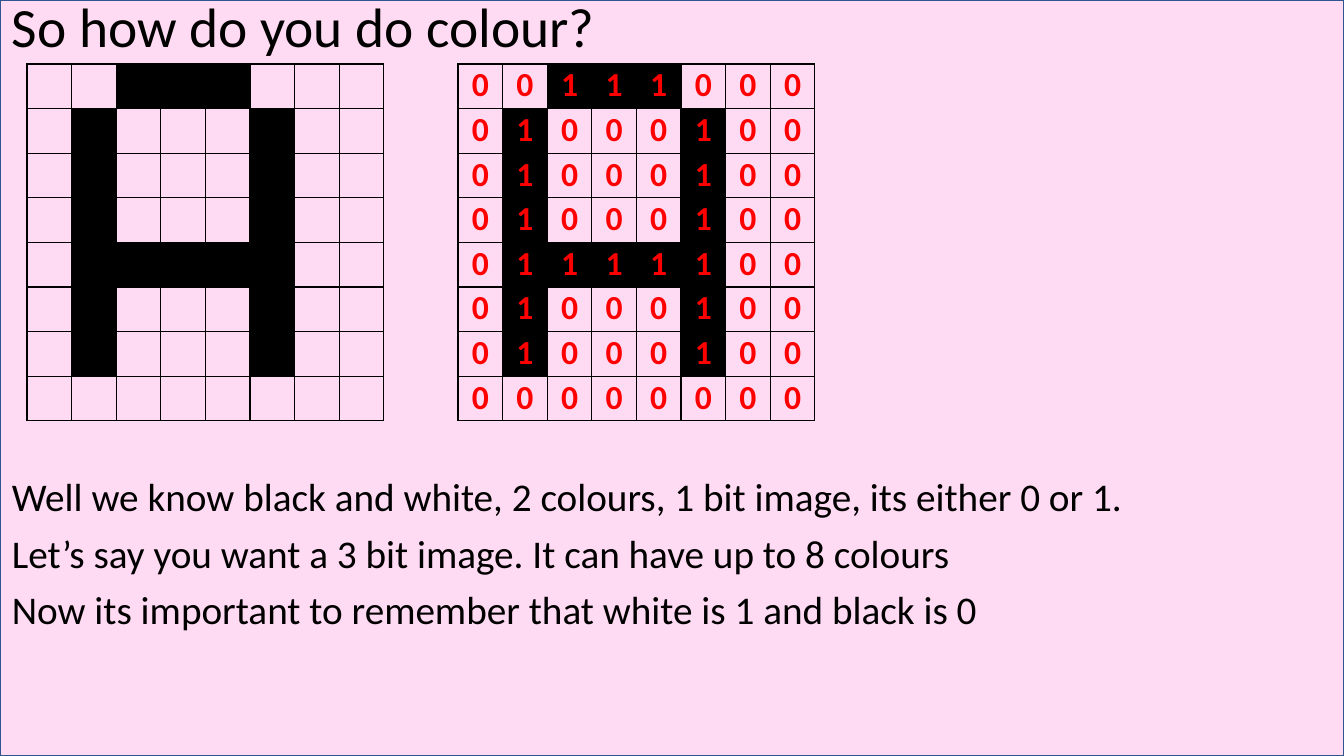
from lxml import etree
from pptx import Presentation
from pptx.dml.color import RGBColor
from pptx.enum.shapes import MSO_SHAPE
from pptx.enum.text import MSO_ANCHOR, PP_ALIGN
from pptx.oxml.ns import qn
from pptx.util import Emu, Pt

RECT = MSO_SHAPE.RECTANGLE
TOP, MIDDLE = MSO_ANCHOR.TOP, MSO_ANCHOR.MIDDLE
LEFT, CENTER = PP_ALIGN.LEFT, PP_ALIGN.CENTER

BLACK = RGBColor(0x00, 0x00, 0x00)
RED = RGBColor(0xFF, 0x00, 0x00)
PINK = RGBColor(0xFF, 0x8A, 0xD8)
NAVY = RGBColor(0x32, 0x54, 0x91)

FONT = "Calibri"
WIDTH, HEIGHT = 1344, 756
SIDE = 357

LETTER = (
    "00111000",
    "01000100",
    "01000100",
    "01000100",
    "01111100",
    "01000100",
    "01000100",
    "00000000",
)
NOTES = (
    "Well we know black and white, 2 colours, 1 bit image, its either 0 or 1.",
    "Let’s say you want a 3 bit image. It can have up to 8 colours",
    "Now its important to remember that white is 1 and black is 0",
)


def px(n):
    return Emu(round(n * 914400 / 100.8))


def write(para, text, size=28, color=BLACK, bold=False, align=LEFT, line=1.0, before=0):
    para.alignment = align
    para.line_spacing = line
    para.space_before = Pt(before)
    run = para.add_run()
    run.text = text
    font = run.font
    font.name, font.size, font.bold = FONT, Pt(size), bold
    font.color.rgb = color


def outline(cell, color=BLACK, width=1):
    """Rule all four sides of a table cell."""
    props = cell._tc.get_or_add_tcPr()
    for tag in ("a:lnL", "a:lnR", "a:lnT", "a:lnB"):
        edge = etree.SubElement(props, qn(tag), w=str(Pt(width)))
        fill = etree.SubElement(edge, qn("a:solidFill"))
        etree.SubElement(fill, qn("a:srgbClr"), val=str(color))


class Page:
    def __init__(self, deck):
        self.shapes = deck.slides.add_slide(deck.slide_layouts[6]).shapes

    def panel(self, x, y, w, h, fill, line, alpha):
        """Add a see-through rectangle; alpha is its opacity in percent."""
        box = self.shapes.add_shape(RECT, px(x), px(y), px(w), px(h))
        box.shadow.inherit = False
        box.fill.solid()
        box.fill.fore_color.rgb = fill
        tint = box.fill._xPr.find(".//" + qn("a:srgbClr"))
        etree.SubElement(tint, qn("a:alpha"), val=str(alpha * 1000))
        box.line.color.rgb = line
        box.line.width = Pt(1)

    def text(self, x, y, w, h, lines, anchor=TOP, gap=0, **style):
        frame = self.shapes.add_textbox(px(x), px(y), px(w), px(h)).text_frame
        frame.word_wrap = True
        frame.vertical_anchor = anchor
        for i, line in enumerate(lines):
            para = frame.add_paragraph() if i else frame.paragraphs[0]
            write(para, line, before=gap if i else 0, **style)

    def bitmap(self, x, y, side, rows, digits):
        """Add a square grid that is black at each 1, with or without its digits."""
        count = len(rows)
        table = self.shapes.add_table(count, count, px(x), px(y), px(side), px(side)).table
        table.first_row = table.horz_banding = False
        for band in (*table.columns, *table.rows):
            if hasattr(band, "width"):
                band.width = px(side / count)
            else:
                band.height = px(side / count)
        for r, row in enumerate(rows):
            for c, bit in enumerate(row):
                cell = table.cell(r, c)
                cell.margin_left = cell.margin_right = px(1)
                cell.margin_top = cell.margin_bottom = px(1)
                outline(cell)
                if bit == "1":
                    cell.fill.solid()
                    cell.fill.fore_color.rgb = BLACK
                else:
                    cell.fill.background()
                if digits:
                    write(cell.text_frame.paragraphs[0], bit, size=24, color=RED,
                          bold=True, align=CENTER)


def main():
    deck = Presentation()
    deck.slide_width, deck.slide_height = px(WIDTH), px(HEIGHT)
    page = Page(deck)
    page.panel(0, 0, WIDTH, HEIGHT, PINK, NAVY, 30)
    page.text(2, 0, 1342, 60, ["So how do you do colour?"], anchor=MIDDLE, size=39.6, line=0.9)
    page.text(2, 473, 1342, 283, NOTES, gap=10, line=0.9)
    for x, digits in ((458, True), (27, False)):
        page.bitmap(x, 64, SIDE, LETTER, digits)
    deck.save("out.pptx")


if __name__ == "__main__":
    main()
